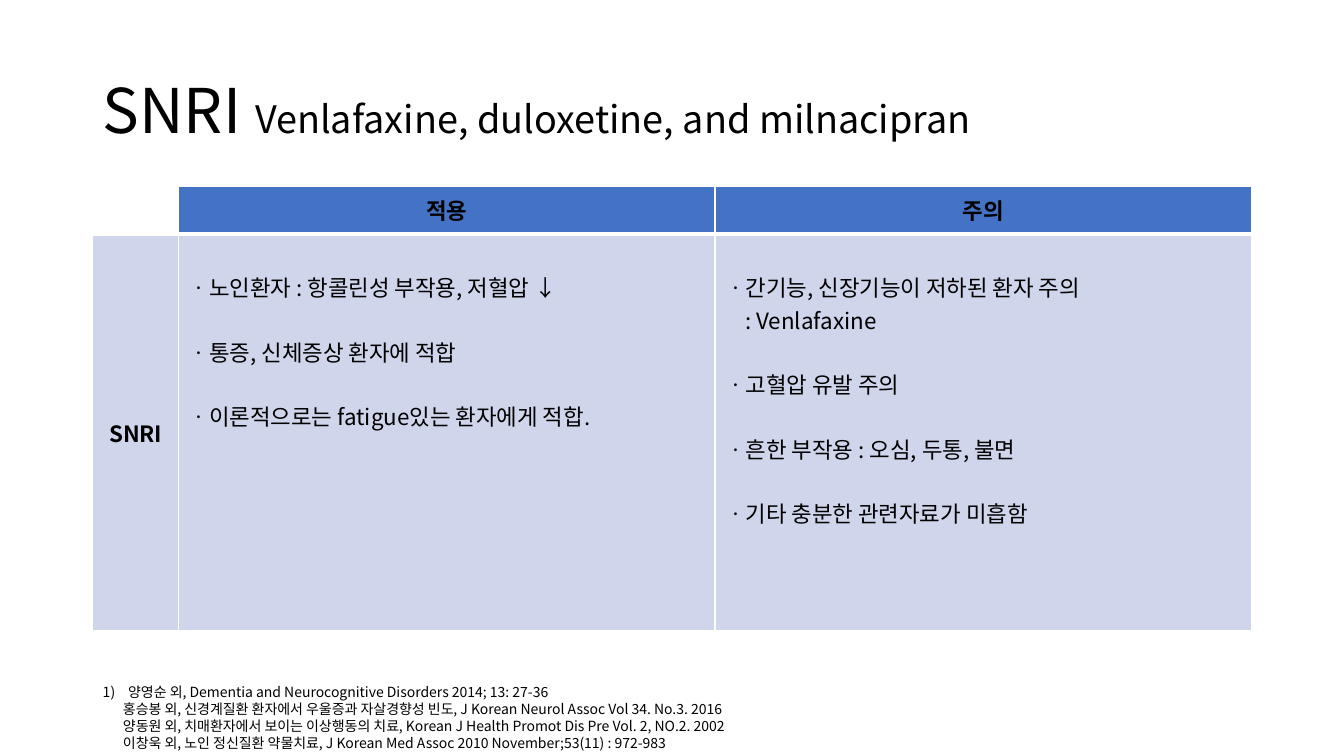
from lxml.etree import SubElement
from pptx import Presentation
from pptx.dml.color import RGBColor as Rgb
from pptx.enum.text import MSO_ANCHOR as Anchor, MSO_AUTO_SIZE as Auto, PP_ALIGN as Align
from pptx.oxml.ns import qn
from pptx.util import Cm, Pt

FONT = "Noto Sans CJK KR"
HUES = {"ink": "000000", "head": "4472C4", "body": "CFD5EA", "edge": "FFFFFF"}
LEFT, WIDTH = Cm(2.34), Cm(29.21)
GAP = Pt(23)
STEP = Cm(0.51)

USES = [
    "ㆍ노인환자 : 항콜린성 부작용, 저혈압 ↓",
    "ㆍ통증, 신체증상 환자에 적합",
    "ㆍ이론적으로는 fatigue있는 환자에게 적합.",
]
RISKS = [
    "ㆍ간기능, 신장기능이 저하된 환자 주의",
    ": Venlafaxine",
    "ㆍ고혈압 유발 주의",
    "ㆍ흔한 부작용 : 오심, 두통, 불면",
    "ㆍ기타 충분한 관련자료가 미흡함",
]
NOTES = [
    "양영순 외, Dementia and Neurocognitive Disorders 2014; 13: 27-36",
    "홍승봉 외, 신경계질환 환자에서 우울증과 자살경향성 빈도, J Korean Neurol Assoc Vol 34. No.3. 2016",
    "양동원 외, 치매환자에서 보이는 이상행동의 치료, Korean J Health Promot Dis Pre Vol. 2, NO.2. 2002",
    "이창욱 외, 노인 정신질환 약물치료, J Korean Med Assoc 2010 November;53(11) : 972-983",
]


def style(item, **values):
    for name, value in values.items():
        setattr(item, name, value)


def add_run(para, text, size, bold=False):
    run = para.add_run()
    run.text = text
    style(run.font, name=FONT, size=Pt(size), bold=bold)
    run.font.color.rgb = Rgb.from_string(HUES["ink"])
    SubElement(run.font._element, qn("a:ea"), typeface=FONT)


def add_lines(frame, lines, size, bold=False, **values):
    for row, text in enumerate(lines):
        para = frame.paragraphs[0] if row == 0 else frame.add_paragraph()
        style(para, **values)
        add_run(para, text, size, bold)
    return frame.paragraphs


def indent(para, left, first=0):
    props = para._p.get_or_add_pPr()
    props.set("marL", str(left))
    props.set("indent", str(first))
    return props


def add_box(slide, top, height, **values):
    frame = slide.shapes.add_textbox(LEFT, top, WIDTH, height).text_frame
    style(frame, word_wrap=True, **values)
    return frame


def add_edges(cell, **widths):
    props = cell._tc.get_or_add_tcPr()
    for spot, side in enumerate("LRTB"):
        line = SubElement(props, qn(f"a:ln{side}"), w=str(Pt(widths.get(side, 1))))
        fill = SubElement(line, qn("a:solidFill"))
        SubElement(fill, qn("a:srgbClr"), val=HUES["edge"])
        props.insert(spot, line)


def paint(cell, hue):
    cell.fill.solid()
    cell.fill.fore_color.rgb = Rgb.from_string(HUES[hue])


def add_label(cell, text):
    cell.vertical_anchor = Anchor.MIDDLE
    add_lines(cell.text_frame, [text], 16, True, alignment=Align.CENTER)


def add_list(cell, lines):
    cell.margin_top = Cm(0.94)
    paras = add_lines(cell.text_frame, lines, 16)
    for para, text in zip(paras, lines):
        if text.startswith(":"):
            indent(para, STEP)
        elif text != lines[0]:
            para.space_before = GAP


def add_title(slide):
    frame = add_box(slide, Cm(1.01), Cm(3.68), vertical_anchor=Anchor.MIDDLE)
    para = frame.paragraphs[0]
    para.line_spacing = 0.9
    add_run(para, "SNRI ", 44)
    add_run(para, "Venlafaxine, duloxetine, and milnacipran", 27)


def add_grid(slide):
    grid = slide.shapes.add_table(2, 3, LEFT, Cm(4.7), WIDTH, Cm(11.2)).table
    style(grid, first_row=False, horz_banding=False)
    for col, width in zip(grid.columns, (2.16, 13.52, 13.52)):
        col.width = Cm(width)
    for row, height in zip(grid.rows, (1.19, 10.01)):
        row.height = Cm(height)
    for col in range(3):
        head, body = grid.cell(0, col), grid.cell(1, col)
        paint(head, "head" if col else "edge")
        paint(body, "body")
        add_edges(head, B=3)
        add_edges(body, T=3)
    add_label(grid.cell(0, 1), "적용")
    add_label(grid.cell(0, 2), "주의")
    add_label(grid.cell(1, 0), "SNRI")
    add_list(grid.cell(1, 1), USES)
    add_list(grid.cell(1, 2), RISKS)


def add_notes(slide):
    frame = add_box(slide, Cm(17.11), Cm(1.95), auto_size=Auto.SHAPE_TO_FIT_TEXT)
    first, *rest = add_lines(frame, NOTES, 10)
    props = indent(first, Cm(0.64), -Cm(0.64))
    SubElement(props, qn("a:buAutoNum"), type="arabicParenR")
    for para in rest:
        indent(para, STEP)


def main():
    deck = Presentation()
    style(deck, slide_width=Cm(33.87), slide_height=Cm(19.05))
    slide = deck.slides.add_slide(deck.slide_layouts[6])
    add_title(slide)
    add_grid(slide)
    add_notes(slide)
    deck.save("out.pptx")


if __name__ == "__main__":
    main()
